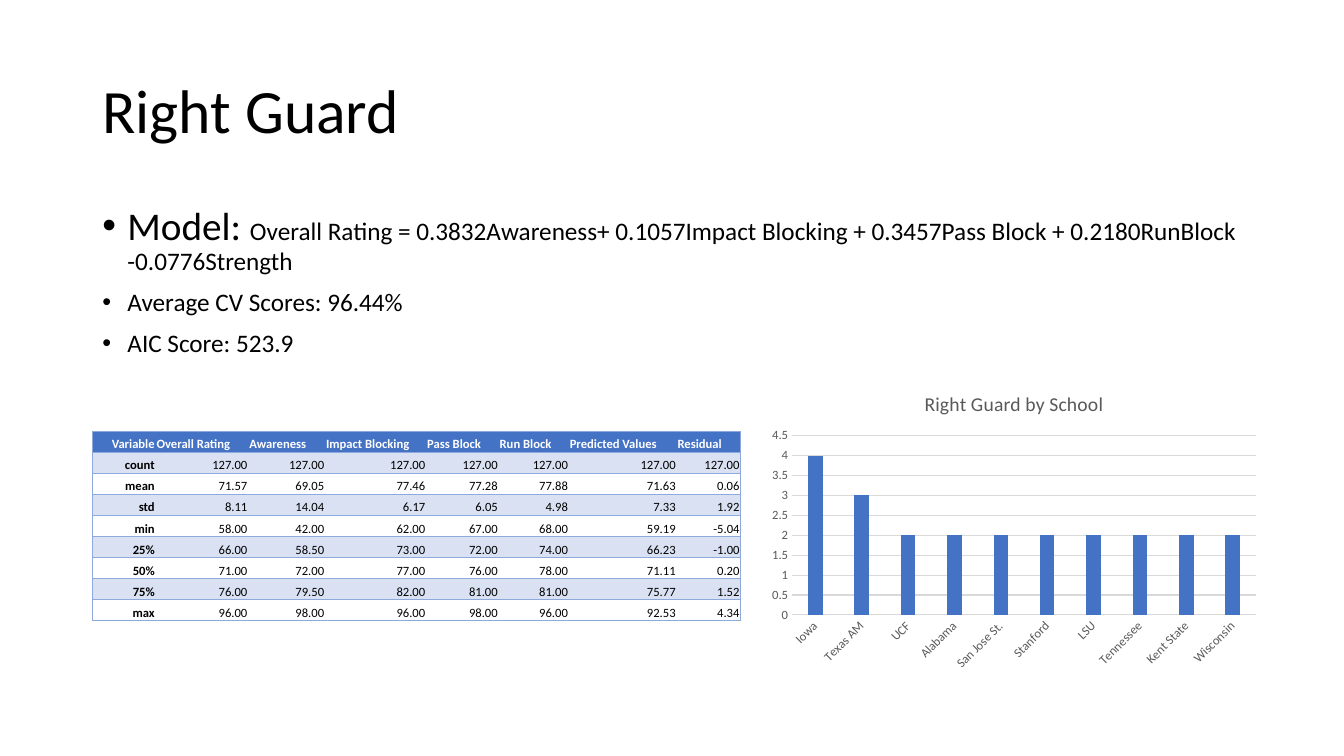
from lxml.etree import SubElement as Sub
from pptx import Presentation
from pptx.chart.data import CategoryChartData as Data
from pptx.dml.color import RGBColor as RGB
from pptx.enum.chart import XL_CHART_TYPE as Kind, XL_TICK_MARK as Tick
from pptx.enum.text import MSO_ANCHOR as Anchor, PP_ALIGN as Align
from pptx.oxml.ns import qn
from pptx.util import Pt

FACE = "Calibri"
BLACK = RGB(0, 0, 0)
WHITE = RGB(255, 255, 255)
BLUE = RGB(0x44, 0x72, 0xC4)
PALE = RGB(0xD9, 0xE1, 0xF2)
EDGE = RGB(0x8E, 0xA9, 0xDB)
GREY = RGB(0x59, 0x59, 0x59)
RULE = RGB(0xD9, 0xD9, 0xD9)

PLAIN = "{2D5ABB26-0587-4C30-8999-92F81FD0307C}"
WIDTHS = [45.2, 66.2, 54.9, 72.2, 51.8, 50.1, 77, 45.6]
POINTS = [
    [("Model: ", 28),
     ("Overall Rating = 0.3832Awareness+ 0.1057Impact Blocking + "
      "0.3457Pass Block + 0.2180RunBlock -0.0776Strength", 18)],
    [("Average CV Scores: 96.44%", 18)],
    [("AIC Score: 523.9", 18)],
]
HEADS = ["Variable", "Overall Rating", "Awareness", "Impact Blocking",
         "Pass Block", "Run Block", "Predicted Values", "Residual"]
STATS = [
    ("count", 127, 127, 127, 127, 127, 127, 127),
    ("mean", 71.57, 69.05, 77.46, 77.28, 77.88, 71.63, 0.06),
    ("std", 8.11, 14.04, 6.17, 6.05, 4.98, 7.33, 1.92),
    ("min", 58, 42, 62, 67, 68, 59.19, -5.04),
    ("25%", 66, 58.5, 73, 72, 74, 66.23, -1),
    ("50%", 71, 72, 77, 76, 78, 71.11, 0.2),
    ("75%", 76, 79.5, 82, 81, 81, 75.77, 1.52),
    ("max", 96, 98, 96, 98, 96, 92.53, 4.34),
]
SCHOOLS = {"Iowa": 4, "Texas AM": 3, "UCF": 2, "Alabama": 2,
           "San Jose St.": 2, "Stanford": 2, "LSU": 2, "Tennessee": 2,
           "Kent State": 2, "Wisconsin": 2}


def style(font, size, color, bold=False):
    font.name, font.size, font.bold = FACE, Pt(size), bold
    font.color.rgb = color


def add_title(slide, left, top, width, height):
    title = slide.shapes.title
    title.left, title.top = Pt(left), Pt(top)
    title.width, title.height = Pt(width), Pt(height)
    frame = title.text_frame
    frame.text = "Right Guard"
    frame.vertical_anchor = Anchor.MIDDLE
    para = frame.paragraphs[0]
    para.alignment, para.line_spacing = Align.LEFT, 0.9
    style(para.runs[0].font, 44, BLACK)


def add_points(slide, left, top, width, height):
    box = slide.shapes.add_textbox(Pt(left), Pt(top), Pt(width), Pt(height))
    frame = box.text_frame
    frame.word_wrap = True
    for i, parts in enumerate(POINTS):
        para = frame.add_paragraph() if i else frame.paragraphs[0]
        props = para._p.get_or_add_pPr()
        props.set("marL", str(Pt(18)))
        props.set("indent", str(-Pt(18)))
        Sub(props, qn("a:buFont"), typeface="Arial")
        Sub(props, qn("a:buChar"), char="•")
        para.line_spacing = 0.9
        para.space_before = Pt(10 if i else 0)
        for text, size in parts:
            run = para.add_run()
            run.text = text
            style(run.font, size, BLACK)


def add_edges(cell, sides):
    props = cell._tc.get_or_add_tcPr()
    for side in sides:
        line = Sub(props, qn("a:ln" + side), w=str(Pt(0.5)))
        Sub(Sub(line, qn("a:solidFill")), qn("a:srgbClr"), val=str(EDGE))


def add_stats(slide, left, top, width, height):
    rows = [HEADS] + [[name] + [f"{num:.2f}" for num in nums]
                      for name, *nums in STATS]
    shape = slide.shapes.add_table(len(rows), len(HEADS), Pt(left), Pt(top),
                                   Pt(width), Pt(height))
    for mark in shape.element.iter(qn("a:tableStyleId")):
        mark.text = PLAIN
    table = shape.table
    for col, size in zip(table.columns, WIDTHS):
        col.width = Pt(size * width / sum(WIDTHS))
    last = len(HEADS) - 1
    for r, row in enumerate(rows):
        table.rows[r].height = Pt(height / len(rows))
        for c, text in enumerate(row):
            cell = table.cell(r, c)
            cell.margin_left = cell.margin_right = cell.margin_top = Pt(0.7)
            cell.margin_bottom = Pt(0)
            cell.vertical_anchor = Anchor.BOTTOM
            add_edges(cell, "L" * (c == 0) + "R" * (c == last) + "TB")
            if r % 2 or r == 0:
                cell.fill.solid()
                cell.fill.fore_color.rgb = PALE if r else BLUE
            else:
                cell.fill.background()
            cell.text_frame.text = text
            para = cell.text_frame.paragraphs[0]
            para.alignment = Align.RIGHT if r or c == 0 else Align.LEFT
            style(para.runs[0].font, 9, BLACK if r else WHITE,
                  r == 0 or c == 0)


def add_schools(slide, left, top, width, height):
    data = Data()
    data.categories = list(SCHOOLS)
    data.add_series("Series 1", list(SCHOOLS.values()))
    chart = slide.shapes.add_chart(Kind.COLUMN_CLUSTERED, Pt(left), Pt(top),
                                   Pt(width), Pt(height), data).chart
    style(chart.font, 10, BLACK)
    chart.has_legend = False
    chart.has_title = True
    frame = chart.chart_title.text_frame
    frame.text = "Right Guard by School"
    style(frame.paragraphs[0].runs[0].font, 14, GREY)
    chart.chart_title.include_in_layout = False
    plot = chart.plots[0]
    plot.gap_width, plot.overlap = 219, -27
    plot.vary_by_categories = False
    fill = plot.series[0].format.fill
    fill.solid()
    fill.fore_color.rgb = BLUE
    names, scale = chart.category_axis, chart.value_axis
    for axis in (names, scale):
        axis.major_tick_mark = axis.minor_tick_mark = Tick.NONE
        style(axis.tick_labels.font, 9, GREY)
    scale.has_major_gridlines = True
    scale.format.line.fill.background()
    for line in (names.format.line, scale.major_gridlines.format.line):
        line.color.rgb = RULE
        line.width = Pt(0.75)


def main():
    deck = Presentation()
    deck.slide_width, deck.slide_height = Pt(960), Pt(540)
    slide = deck.slides.add_slide(deck.slide_layouts[5])
    add_title(slide, 66, 28.75, 828, 104.4)
    add_points(slide, 66, 143.75, 828, 342.6)
    add_stats(slide, 66, 308, 463, 135.4)
    add_schools(slide, 544.3, 267.8, 360, 216)
    deck.save("out.pptx")


if __name__ == "__main__":
    main()
